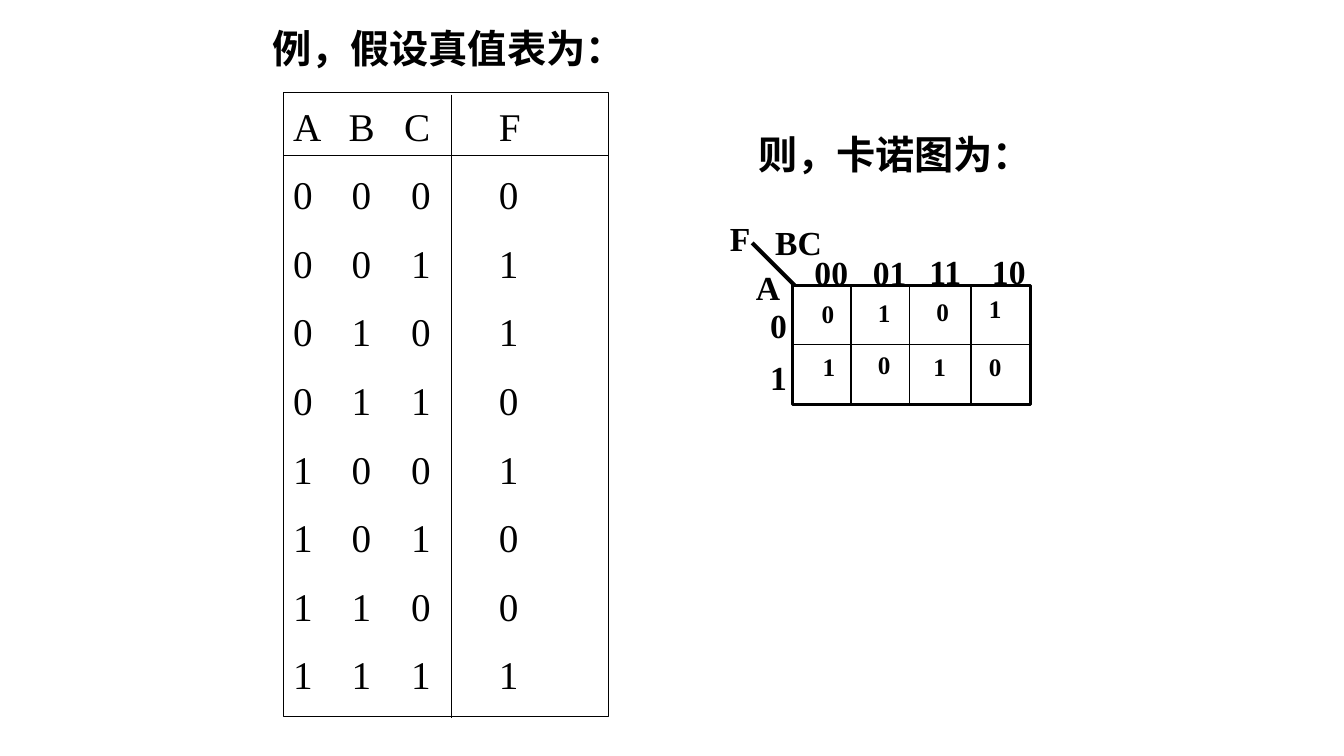
"""Build a slide with a truth table and its Karnaugh map."""
import dataclasses

import lxml.etree
import pptx
import pptx.dml.color
import pptx.enum.shapes
import pptx.enum.text
import pptx.oxml.ns
import pptx.util

Inches = pptx.util.Inches
Pt = pptx.util.Pt
BLACK = pptx.dml.color.RGBColor(0, 0, 0)
WHITE = pptx.dml.color.RGBColor(255, 255, 255)
SERIF = "Times New Roman"
SANS = "Calibri"


@dataclasses.dataclass
class Label:
    text: str
    left: float
    top: float
    width: float
    height: float = 0.51
    size: float = 24
    font: str = SERIF
    wrap: bool = True
    inset: float = 0.09


@dataclasses.dataclass
class Line:
    x1: float
    y1: float
    x2: float
    y2: float
    weight: float = 1


HEAD = Label("例，假设真值表为：", 2.6, 0.19, 3.75, 0.57, 28, SANS, False, 0.05)
ROWS = ["ABCF", "0000", "0011", "0101", "0110", "1001", "1010", "1100", "1111"]
HEAD_TABS = (0.55, 1.1, 2.04)
ROW_TABS = (0.58, 1.17, 2.04)
LABELS = [
    Label("则，卡诺图为：", 7.42, 1.24, 2.96, 0.57, 28, SANS, False, 0.05),
    Label("F", 7.14, 2.07, 0.4),
    Label("BC", 7.59, 2.11, 0.78),
    Label("A", 7.4, 2.56, 0.37),
    Label("00", 7.98, 2.41, 0.63),
    Label("01", 8.56, 2.41, 0.57),
    Label("11", 9.12, 2.4, 0.57),
    Label("10", 9.74, 2.4, 0.57),
    Label("0", 7.54, 2.93, 0.3),
    Label("1", 7.54, 3.45, 0.3),
]
CELLS = [
    ("0101", (8.05, 8.61, 9.19, 9.71), (2.91, 2.9, 2.89, 2.86)),
    ("1010", (8.06, 8.61, 9.16, 9.71), (3.44, 3.42, 3.44, 3.44)),
]
LINES = [
    Line(2.81, 1.54, 6.04, 1.54, 0.75),
    Line(4.48, 0.94, 4.48, 7.12, 0.75),
    Line(7.88, 2.83, 7.46, 2.41, 3),
    Line(7.86, 3.42, 10.23, 3.42),
] + [Line(x, 2.83, x, 4.01) for x in (8.44, 9.02, 9.63)]


def write(par, text: str, size: float, font: str, bold: bool) -> None:
    par.alignment = pptx.enum.text.PP_ALIGN.LEFT
    run = par.add_run()
    run.text = text
    run.font.size = Pt(size)
    run.font.name = font
    run.font.bold = bold
    run.font.color.rgb = BLACK


def set_frame(frame, wrap: bool, inset: float) -> None:
    frame.auto_size = pptx.enum.text.MSO_AUTO_SIZE.NONE
    frame.word_wrap = wrap
    frame.vertical_anchor = pptx.enum.text.MSO_ANCHOR.TOP
    frame.margin_left = frame.margin_right = Inches(0.1)
    frame.margin_top, frame.margin_bottom = Inches(inset), Inches(0.05)


def fill_label(shape, label: Label) -> None:
    shape.left, shape.top = Inches(label.left), Inches(label.top)
    shape.width, shape.height = Inches(label.width), Inches(label.height)
    set_frame(shape.text_frame, label.wrap, label.inset)
    write(shape.text_frame.paragraphs[0], label.text, label.size, label.font, True)


def add_label(slide, label: Label) -> None:
    fill_label(slide.shapes.add_textbox(0, 0, 0, 0), label)


def add_line(slide, line: Line) -> None:
    item = slide.shapes.add_connector(
        pptx.enum.shapes.MSO_CONNECTOR.STRAIGHT,
        Inches(line.x1), Inches(line.y1), Inches(line.x2), Inches(line.y2))
    item.line.color.rgb = BLACK
    item.line.width = Pt(line.weight)
    lxml.etree.SubElement(
        item._element.spPr, pptx.oxml.ns.qn("a:effectLst"))


def add_frame(slide, left: float, top: float, width: float, height: float,
              weight: float):
    box = slide.shapes.add_shape(
        pptx.enum.shapes.MSO_SHAPE.RECTANGLE,
        Inches(left), Inches(top), Inches(width), Inches(height))
    box.shadow.inherit = False
    box.line.color.rgb = BLACK
    box.line.width = Pt(weight)
    return box


def add_tabs(par, stops: tuple[float, ...]) -> None:
    tabs = lxml.etree.SubElement(
        par._p.get_or_add_pPr(), pptx.oxml.ns.qn("a:tabLst"))
    for stop in stops:
        lxml.etree.SubElement(tabs, pptx.oxml.ns.qn("a:tab"),
                              pos=str(Inches(stop)), algn="l")


def add_truth(slide) -> None:
    box = add_frame(slide, 2.81, 0.92, 3.23, 6.19, 0.75)
    box.fill.solid()
    box.fill.fore_color.rgb = WHITE
    frame = box.text_frame
    set_frame(frame, True, 0.09)
    for i, row in enumerate(ROWS):
        par = frame.add_paragraph() if i else frame.paragraphs[0]
        add_tabs(par, ROW_TABS if i else HEAD_TABS)
        if i:
            par.space_before = Pt(15.4)
        write(par, "\t".join(row), 28, SERIF, False)


def main() -> None:
    deck = pptx.Presentation()
    deck.slide_width, deck.slide_height = Inches(13.33), Inches(7.5)
    slide = deck.slides.add_slide(deck.slide_layouts.get_by_name("Title Only"))
    fill_label(slide.shapes.title, HEAD)
    add_truth(slide)
    add_frame(slide, 7.86, 2.83, 2.36, 1.18, 2).fill.background()
    for line in LINES:
        add_line(slide, line)
    for label in LABELS:
        add_label(slide, label)
    for bits, lefts, tops in CELLS:
        for bit, left, top in zip(bits, lefts, tops):
            add_label(slide, Label(bit, left, top, 0.33, 0.4, 18, inset=0.05))
    deck.save("out.pptx")


if __name__ == "__main__":
    main()
